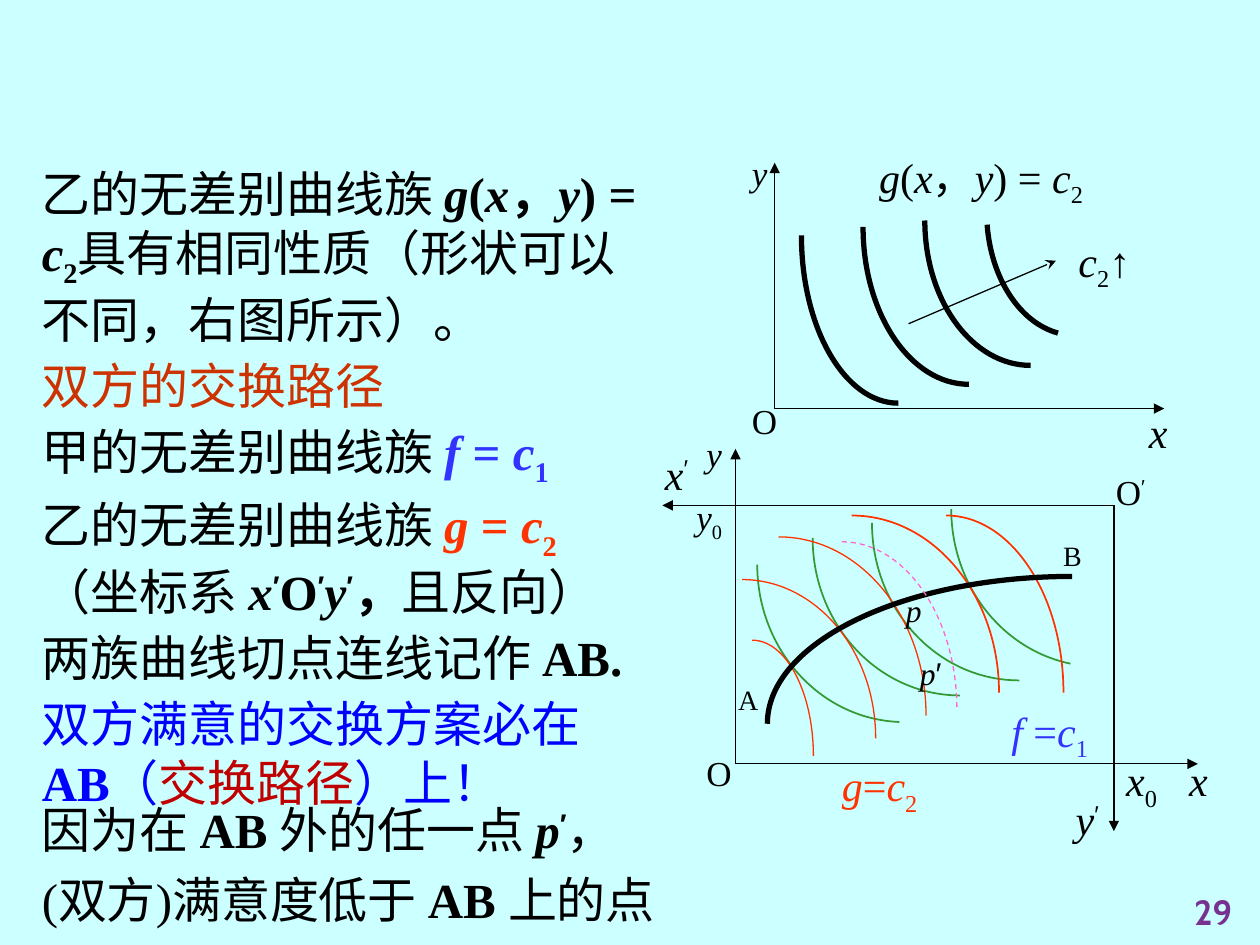
import math
import pptx
import pptx.util
import pptx.dml.color
import pptx.enum.dml
import pptx.enum.shapes
import pptx.enum.text
import pptx.oxml.ns
from lxml import etree

Pt = pptx.util.Pt
qn = pptx.oxml.ns.qn
INK = {"black": "000000", "sky": "CCFFFF", "rust": "CC3300", "iris": "3333FF", "red": "FF3300",
       "blue": "0000FF", "wine": "C00000", "green": "339933", "pink": "FF66CC", "plum": "763191"}
FORM = {"b": {"bold": True}, "i": {"italic": True}, "a": {"name": "Arial"}, "c": {"name": "Cabin"}}
SHIFT = {"_": "-25000", "^": "30000"}
PRIME = ("′", "a^")

BODY = [
    [("乙的无差别曲线族 ",), ("g", "bi"), ("(", "b"), ("x", "bi"), ("，", "b"), ("y", "bi"),
     (") = ", "b"), ("c", "bi"), ("2", "b_"), ("具有相同性质（形状可以不同，右图所示）。",)],
    [("双方的交换路径", "", "rust")],
    [("甲的无差别曲线族 ",), ("f ", "bi", "iris"), ("= ", "b", "iris"), ("c", "bi", "iris"),
     ("1", "b_", "iris")],
    [("乙的无差别曲线族 ",), ("g ", "bi", "red"), ("= ", "b", "red"), ("c", "bi", "red"),
     ("2 ", "b_", "red"), ("（坐标系 ",), ("x", "bi"), ("′", "ab^"), ("O", "b"), ("′", "ab^"),
     ("y", "bi"), ("′", "ab^"), ("，", "b"), ("且反向）",)],
    [("两族曲线切点连线记作 ",), ("AB.", "b")],
    [("双方满意的交换方案必在 ", "", "blue"), ("AB", "b", "blue"), ("（", "", "blue"),
     ("交换路径", "", "wine"), ("）上！", "", "blue")],
]
CLOSE = [
    [("因为在 ",), ("AB ", "b"), ("外的任一点 ",), ("p", "bi"), ("′", "ab^"), ("，",)],
    [("(双方)满意度低于 ",), ("AB ", "b"), ("上的点",)],
]
BLOCKS = [(BODY, 16.8, 90, 360, 377, 4), (CLOSE, 16.8, 453.5, 410.5, 86, 6)]

LABELS = [
    ([("x", "i")], 649.5, 229, 55.5, 36, 24),
    ([("y", "i")], 422.5, 83, 40, 31.5, 20),
    ([("O",)], 422.5, 224.8, 40, 31.5, 20),
    ([("g", "i"), ("(",), ("x", "i"), ("，",), ("y", "i"), (") = ",), ("c", "i"), ("2", "_")],
     495.3, 83, 146, 40, 24),
    ([("c", "i"), ("2", "_"), ("↑", "a")], 609.2, 131, 54, 40, 24),
    ([("x", "i")], 672.5, 427.8, 30, 36, 24),
    ([("y", "i")], 396.5, 243.5, 48, 31.5, 20),
    ([("y", "i"), ("0", "_")], 390.8, 279.5, 54, 34.5, 20),
    ([("O",)], 396.5, 425.6, 48, 31.5, 20),
    ([("x", "i"), ("0", "_")], 636.5, 427.8, 39, 40, 24),
    ([("f ", "i", "iris"), ("=", "", "iris"), ("c", "i", "iris"), ("1", "_", "iris")],
     570.8, 399.5, 60, 40, 24),
    ([("g", "i", "red"), ("=", "", "red"), ("c", "i", "red"), ("2", "_", "red")],
     474, 430.6, 66, 40, 24),
    ([("O",), PRIME], 630.6, 265.2, 42, 31.5, 20),
    ([("x", "i"), PRIME], 372.9, 252.8, 48, 36, 24),
    ([("y", "i"), PRIME], 607.6, 450, 33, 36, 24),
    ([("A",)], 414.7, 386.7, 42, 26.5, 16),
    ([("B",)], 600.4, 304, 29.5, 26.5, 16),
    ([("p", "i")], 510.6, 334.2, 36, 29, 18),
    ([("p", "i"), ("′", "a")], 518.5, 370.2, 36, 29, 18),
]
LINES = [
    (442.7, 233.5, 665.3, 233.5, "triangle"),
    (442.7, 233.5, 442.7, 93, "triangle"),
    (519.2, 185, 603.4, 149, "stealth"),
    (420.3, 436.5, 684.5, 436.5, "triangle"),
    (420.3, 436.5, 420.3, 256.5, "triangle"),
    (636.5, 288.8, 636.5, 432.5, None),
    (636.5, 288.8, 420.3, 288.8, None),
    (420.3, 288.8, 378.5, 288.8, "triangle"),
    (636.5, 427, 636.5, 475, "triangle"),
]
ARCS = [
    ("black", 3, 90, 180, [(513.4, 134.6, 55.4, 95.8), (553.7, 129.6, 60.5, 90),
                           (589, 126, 60.5, 82.8)]),
    ("black", 3, 101, 174, [(614.2, 121, 50.4, 70.6)]),
    ("green", 1, 92, 180, [(516.9, 322.6, 84.2, 90)]),
    ("green", 1, 90, 180, [(548.6, 307.4, 84.2, 90), (582.5, 298.8, 84.2, 90)]),
    ("green", 1, 101, 180, [(627.8, 290.9, 84.2, 90)]),
    ("red", 1, 270, 360, [(540.7, 395.8, 67, 101.2), (486.7, 395.8, 84.2, 101.2)]),
    ("red", 0.75, 270, 360, [(445, 409, 84.2, 102.2), (424.1, 421.9, 76.3, 90.7),
                             (429.8, 432, 35, 66.2)]),
    ("black", 3, 180, 270, [(612.7, 413.6, 174.2, 84.2)]),
    ("pink", 0.75, 270, 360, [(481, 405.4, 65.8, 95.8)]),
]


def tint(name):
    return pptx.dml.color.RGBColor.from_string(INK[name])


def write(shapes, paras, x, y, w, h, size, gap=0):
    box = shapes.add_textbox(Pt(x), Pt(y), Pt(w), Pt(h))
    frame = box.text_frame
    frame.word_wrap = True
    for n, runs in enumerate(paras):
        para = frame.add_paragraph() if n else frame.paragraphs[0]
        if n:
            para.space_before = Pt(gap)
        for text, style, ink in (run + ("", "black")[len(run) - 1:] for run in runs):
            run = para.add_run()
            run.text = text
            form = {"name": "Times New Roman", "size": Pt(size), "bold": False, "italic": False}
            for key in style:
                form.update(FORM.get(key, {}))
                if key in SHIFT:
                    run._r.get_or_add_rPr().set("baseline", SHIFT[key])
            for key, value in form.items():
                setattr(run.font, key, value)
            run.font.color.rgb = tint(ink)
    return frame


def rule(shapes, x1, y1, x2, y2, head):
    line = shapes.add_connector(pptx.enum.shapes.MSO_CONNECTOR.STRAIGHT,
                                Pt(x1), Pt(y1), Pt(x2), Pt(y2))
    line.line.width = Pt(0.75)
    line.line.color.rgb = tint("black")
    if head:
        etree.SubElement(line.line._get_or_add_ln(), qn("a:tailEnd"), type=head)
    etree.SubElement(line._element.spPr, qn("a:effectLst"))


def curve(shapes, ink, width, start, end, cx, cy, rx, ry):
    a, b = math.radians(start), math.radians(end)
    pull = 4 / 3 * math.tan((b - a) / 4)
    spots = [(cx + rx * (math.cos(t) - k * math.sin(t)), cy + ry * (math.sin(t) + k * math.cos(t)))
             for t, k in ((a, 0), (a, pull), (b, -pull), (b, 0))]
    dots = [(Pt(x), Pt(y)) for x, y in spots]
    pen = shapes.build_freeform(*dots[0])
    pen.add_line_segments(dots[3:], close=False)
    arc = pen.convert_to_shape()
    leg = next(arc._element.iter(qn("a:lnTo")))
    leg.tag = qn("a:cubicBezTo")
    for n, (x, y) in enumerate(dots[1:3]):
        spot = etree.Element(qn("a:pt"), x=str(x - arc.left), y=str(y - arc.top))
        leg.insert(n, spot)
    arc.shadow.inherit = False
    arc.fill.background()
    arc.line.width = Pt(width)
    arc.line.color.rgb = tint(ink)
    if ink == "pink":
        arc.line.dash_style = pptx.enum.dml.MSO_LINE.DASH


def main():
    """Build the slide on indifference curves and the exchange path."""
    deck = pptx.Presentation()
    deck.slide_width, deck.slide_height = Pt(720), Pt(540)
    slide = deck.slides.add_slide(deck.slide_layouts[6])
    slide.background.fill.solid()
    slide.background.fill.fore_color.rgb = tint("sky")
    shapes = slide.shapes
    for paras, x, y, w, h, gap in BLOCKS:
        write(shapes, paras, x, y, w, h, 28, gap)
    for line in LINES:
        rule(shapes, *line)
    for ink, width, start, end, ovals in ARCS:
        for oval in ovals:
            curve(shapes, ink, width, start, end, *oval)
    for runs, *place in LABELS:
        write(shapes, [runs], *place)
    page = write(shapes, [[("29", "bc", "plum")]], 668.3, 505.5, 50, 34.5, 20)
    page.paragraphs[0].alignment = pptx.enum.text.PP_ALIGN.CENTER
    deck.save("out.pptx")


if __name__ == "__main__":
    main()
